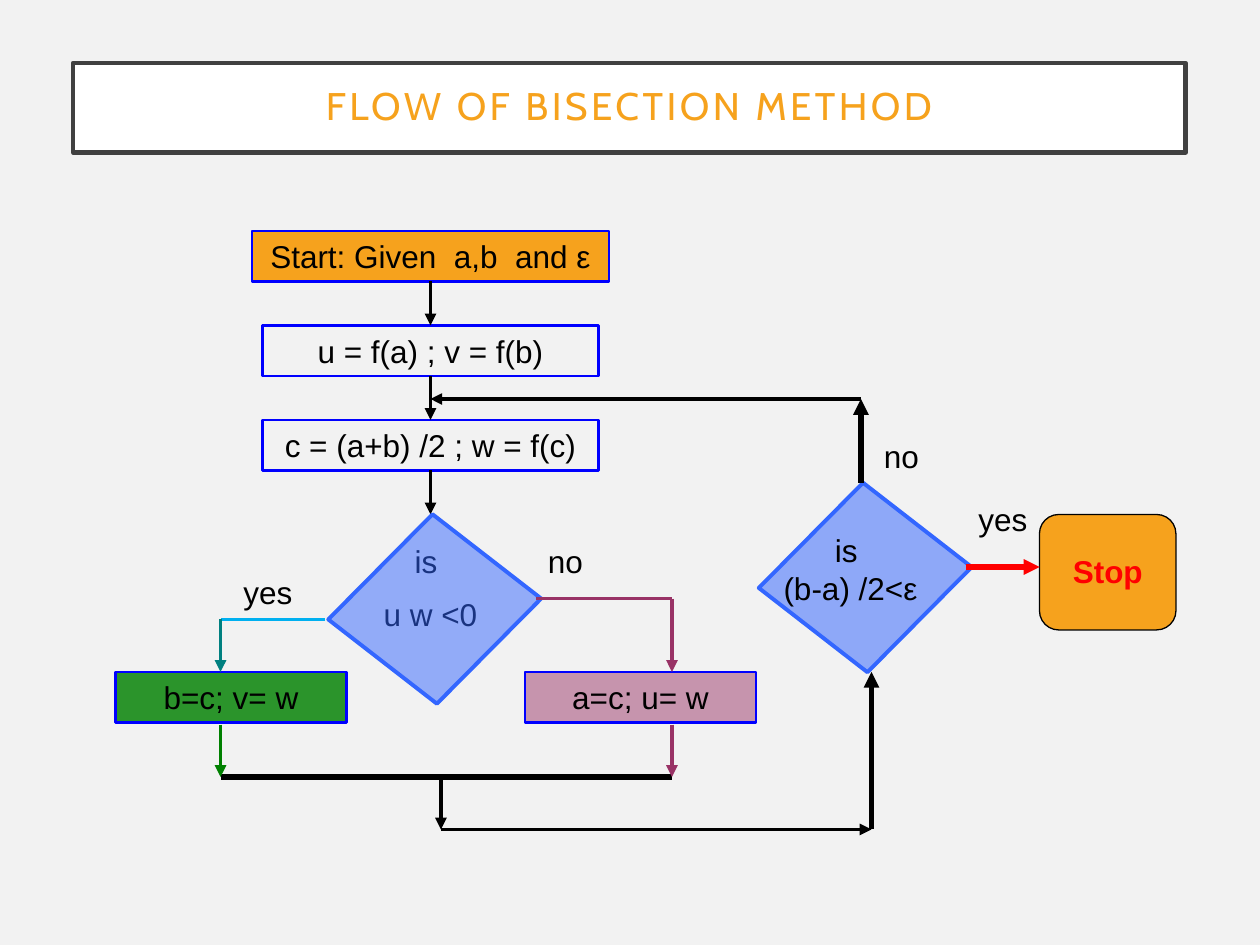
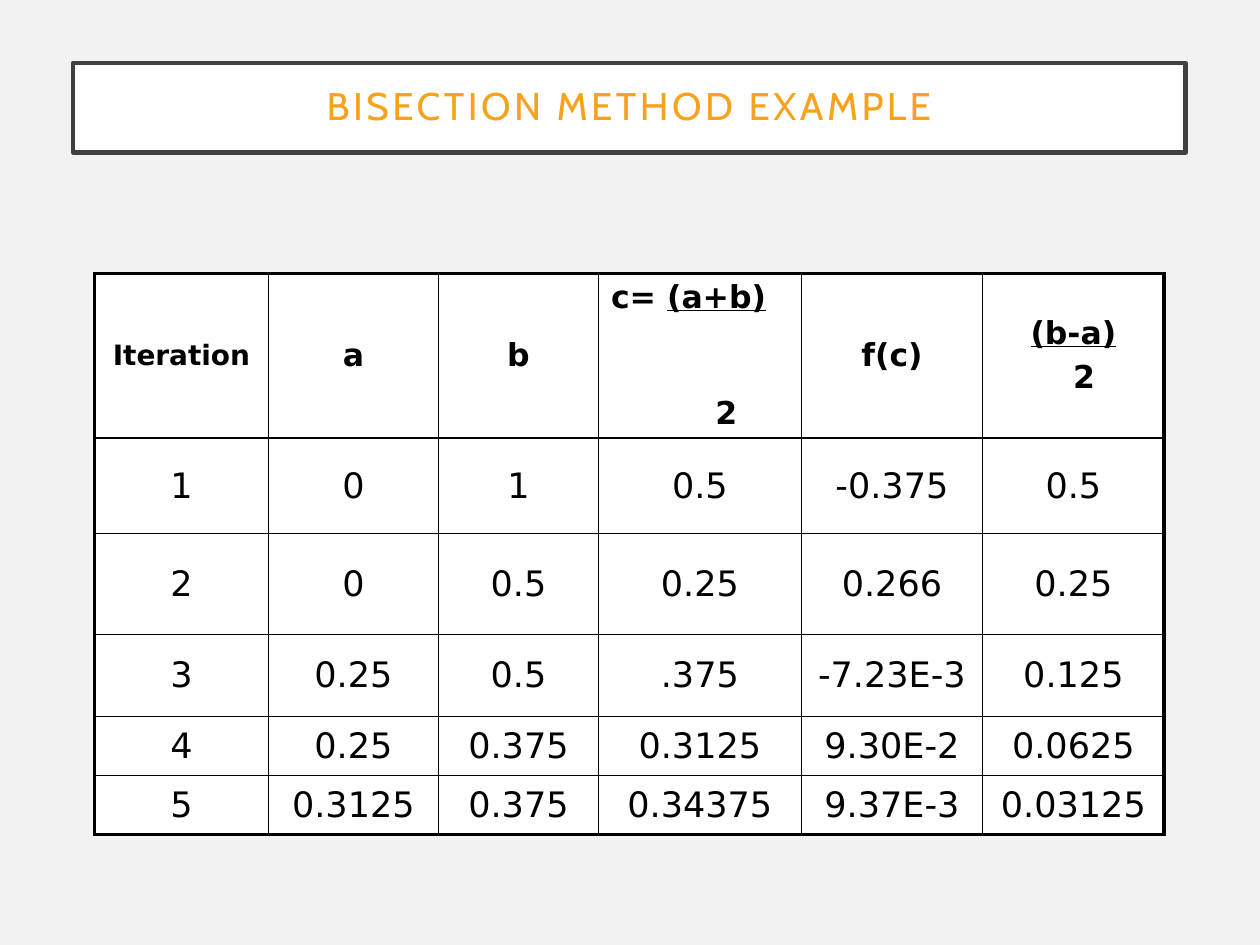
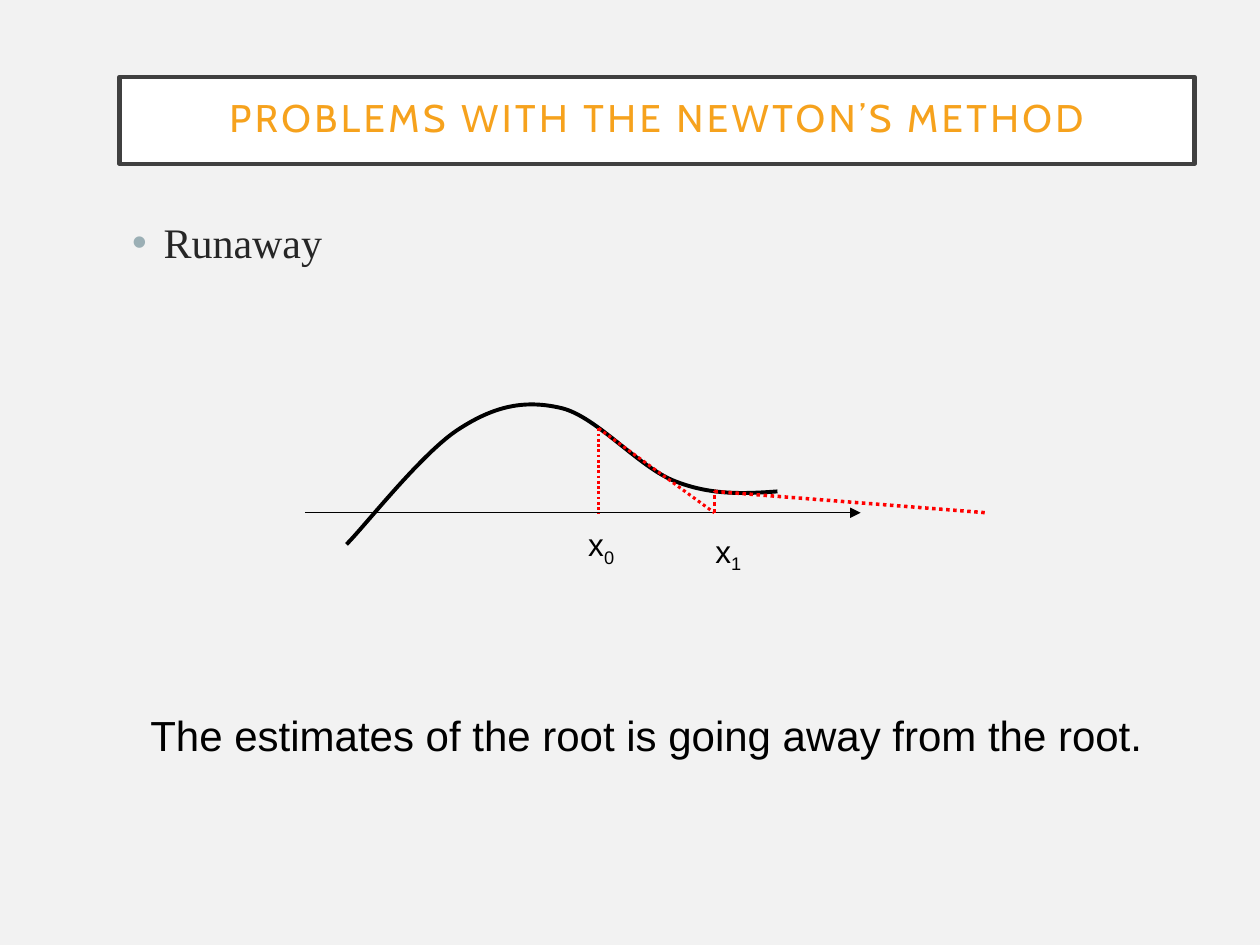
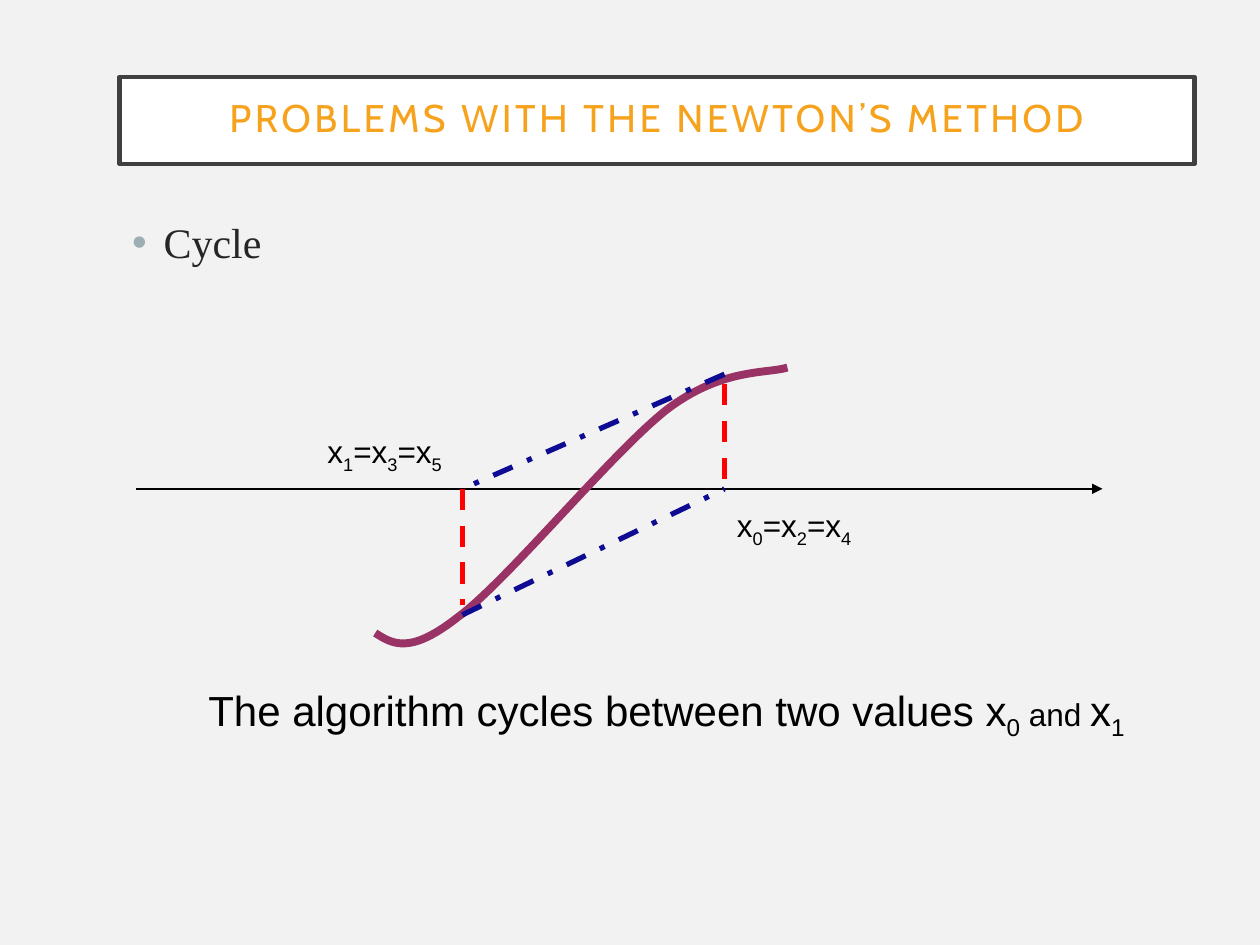
from dataclasses import dataclass

from pptx import Presentation
from pptx.dml.color import RGBColor
from pptx.enum.dml import MSO_LINE
from pptx.enum.shapes import MSO_CONNECTOR, MSO_SHAPE
from pptx.enum.text import MSO_ANCHOR, MSO_AUTO_SIZE, PP_ALIGN
from pptx.oxml.ns import qn
from pptx.util import Inches, Pt
from lxml.etree import SubElement


@dataclass(frozen=True)
class Theme:
    ground: str = "F2F2F2"
    white: str = "FFFFFF"
    black: str = "000000"
    frame: str = "404040"
    accent: str = "F6A21D"
    body: str = "262626"
    bullet: str = "9BAFB5"
    outline: str = "0000FF"
    decision: str = "3366FF"
    plum: str = "993366"
    green: str = "008000"
    teal: str = "008080"
    cyan: str = "00B0F0"
    red: str = "FF0000"
    navy: str = "0E0C93"
    title_font: str = "Cabin"
    body_font: str = "Times New Roman"
    label_font: str = "Arial"
    table_font: str = "DejaVu Sans"
    title_size: int = 22
    body_size: int = 24
    label_size: int = 18
    value_size: int = 20
    small_size: int = 16


THEME = Theme()
LINE_HEIGHT = 0.4   # inches, a box around one line of label text


@dataclass(frozen=True)
class Grid:
    """A region of the slide: its corner and the side of one cell, in inches."""
    left: float
    top: float
    step: float

    def point(self, column, row):
        return Inches(self.left + column * self.step), Inches(self.top + row * self.step)

    def box(self, column, row, columns, rows=None):
        height = LINE_HEIGHT if rows is None else rows * self.step
        return *self.point(column, row), Inches(columns * self.step), Inches(height)


def inches(*lengths):
    return tuple(Inches(length) for length in lengths)


def color(code):
    return RGBColor.from_string(code)


def style_font(para, name, size, code, bold=False):
    font = para.font
    font.name, font.size, font.bold = name, Pt(size), bold
    font.color.rgb = color(code)


def add_spans(para, text, size=None):
    """Add text in which each "_" makes the next character a subscript."""
    head, *rest = text.split("_")
    pieces = [(head, False)]
    for piece in rest:
        pieces += [(piece[0], True), (piece[1:], False)]
    for piece, lowered in pieces:
        if not piece:
            continue
        span = para.add_run()
        span.text = piece
        if size:
            span.font.size = Pt(size)
        if lowered:
            span._r.get_or_add_rPr().set("baseline", "-25000")


def write_label(shape, text, size=THEME.label_size, code=THEME.black, align=PP_ALIGN.CENTER,
                bold=False, gap=0, wrap=True):
    frame = shape.text_frame
    frame.word_wrap = wrap
    frame.auto_size = MSO_AUTO_SIZE.SHAPE_TO_FIT_TEXT
    frame.vertical_anchor = MSO_ANCHOR.TOP
    for index, line in enumerate(text.split("\n")):
        para = frame.add_paragraph() if index else frame.paragraphs[0]
        para.alignment = align
        if index:
            para.space_before = Pt(gap)
        style_font(para, THEME.label_font, size, code, bold)
        add_spans(para, line)
    return para


def add_label(page, box, text, **style):
    return write_label(page.shapes.add_textbox(*box), text, **style)


def add_block(page, kind, box, fill=None, line=THEME.outline, weight=1.5, opacity=100):
    block = page.shapes.add_shape(kind, *box)
    block.shadow.inherit = False
    if fill:
        block.fill.solid()
        block.fill.fore_color.rgb = color(fill)
        if opacity < 100:
            tone = block._element.spPr.find(".//" + qn("a:srgbClr"))
            SubElement(tone, qn("a:alpha"), val=str(opacity * 1000))
    else:
        block.fill.background()
    block.line.color.rgb = color(line)
    block.line.width = Pt(weight)
    return block


def add_line(page, start, end, code=THEME.black, weight=2.25, arrow=False, dash=None):
    link = page.shapes.add_connector(MSO_CONNECTOR.STRAIGHT, *start, *end)
    link.line.color.rgb = color(code)
    link.line.width = Pt(weight)
    if dash:
        link.line.dash_style = dash
    properties = link._element.spPr
    if arrow:
        SubElement(properties.find(qn("a:ln")), qn("a:tailEnd"), type="triangle")
    SubElement(properties, qn("a:effectLst"))
    return link


def add_curve(page, grid, points, code, weight, rotation=0):
    """Draw Bézier segments: a start, then two handles and an end for each."""
    start, *others = [grid.point(*point) for point in points]
    builder = page.shapes.build_freeform(*start)
    builder.add_line_segments(others, close=False)
    curve = builder.convert_to_shape()
    outline = curve._element.spPr.find(".//" + qn("a:path"))
    steps = outline.findall(qn("a:lnTo"))
    for first in range(0, len(steps), 3):
        segment = SubElement(outline, qn("a:cubicBezTo"))
        for step in steps[first:first + 3]:
            segment.append(step[0])
            outline.remove(step)
    curve.shadow.inherit = False
    curve.fill.background()
    curve.line.color.rgb = color(code)
    curve.line.width = Pt(weight)
    curve.rotation = rotation


def add_title(page, box, text):
    band = add_block(page, MSO_SHAPE.RECTANGLE, box, THEME.white, THEME.frame, 2.5)
    frame = band.text_frame
    frame.word_wrap = True
    frame.vertical_anchor = MSO_ANCHOR.MIDDLE
    frame.margin_left = frame.margin_right = frame.margin_top = frame.margin_bottom = Inches(0.2)
    para = frame.paragraphs[0]
    para.alignment = PP_ALIGN.CENTER
    para.line_spacing = 0.9
    style_font(para, THEME.title_font, THEME.title_size, THEME.accent)
    span = para.add_run()
    span.text = text
    span._r.get_or_add_rPr().set("spc", "200")


def add_bullet(page, box, text):
    frame = page.shapes.add_textbox(*box).text_frame
    frame.word_wrap = True
    para = frame.paragraphs[0]
    para.space_before = Pt(10)
    properties = para._p.get_or_add_pPr()
    properties.set("marL", str(Inches(0.25)))
    properties.set("indent", str(-Inches(0.25)))
    SubElement(SubElement(properties, qn("a:buClr")), qn("a:srgbClr"), val=THEME.bullet)
    SubElement(properties, qn("a:buFont"), typeface=THEME.label_font)
    SubElement(properties, qn("a:buChar"), char="•")
    style_font(para, THEME.body_font, THEME.body_size, THEME.body)
    add_spans(para, text)


def draw_flowchart(page, grid):
    def step(text, column, row, columns, fill=None, opacity=100):
        block = add_block(page, MSO_SHAPE.RECTANGLE, grid.box(column, row, columns), fill,
                          opacity=opacity)
        write_label(block, text)
        return block

    def decision(column, row, opacity):
        diamond = add_block(page, MSO_SHAPE.PARALLELOGRAM, grid.box(column, row, 14.8, 14),
                            THEME.decision, THEME.decision, 2.25, opacity)
        diamond.adjustments[0] = 0.122
        diamond.rotation = 37.8

    chain = [step("Start: Given  a,b  and ε", 13, 0, 34, THEME.accent),
             step("u = f(a) ; v = f(b)", 14, 9, 32),
             step("c = (a+b) /2 ; w = f(c)", 14, 18, 32)]
    decision(64, 26, 52)
    for index, block in enumerate(chain):
        link = add_line(page, grid.point(30, 9 * index + 5), grid.point(30, 9 * index + 9),
                        arrow=True)
        link.begin_connect(block, 2)
        if block is not chain[-1]:
            link.end_connect(chain[index + 1], 0)
    add_label(page, grid.box(24, 29, 12, 10.2), "is \nu w <0", gap=9)
    step("a=c; u= w", 39, 42, 22, THEME.plum, 49)
    step("b=c; v= w", 0, 42, 22, THEME.green, 82)

    routes = [
        ((40, 35), (53, 35), THEME.plum, 2.25, False),
        ((53, 35), (53, 42), THEME.plum, 2.25, True),
        ((20, 37), (10, 37), THEME.cyan, 2.25, False),
        ((10, 37), (10, 42), THEME.teal, 2.25, True),
        ((10, 52), (53, 52), THEME.black, 3, False),
        ((10, 47), (10, 52), THEME.green, 2.25, True),
        ((53, 47), (53, 52), THEME.plum, 2.25, True),
        ((31, 52), (31, 57), THEME.black, 2.25, True),
        ((31, 57), (72, 57), THEME.black, 2.25, True),
        ((72, 57), (72, 42), THEME.black, 3, True),
        ((71, 16), (30, 16), THEME.black, 2.25, True),
        ((71, 24), (71, 16), THEME.black, 3, True),
        ((81, 32), (88, 32), THEME.red, 3, True),
    ]
    decision(23, 29, 50)
    add_label(page, grid.box(62, 28, 16, 8.4), "is \n(b-a) /2<ε")
    add_block(page, MSO_SHAPE.ROUNDED_RECTANGLE, grid.box(88, 27, 13, 11), THEME.accent,
              THEME.black, 0.75)
    add_label(page, grid.box(90, 30, 11), "Stop", code=THEME.red, bold=True,
              align=PP_ALIGN.LEFT)
    for start, end, code, weight, arrow in routes:
        add_line(page, grid.point(*start), grid.point(*end), code, weight, arrow)
    for answer, column, row in [("yes", 11, 32), ("yes", 81, 25), ("no", 40, 29), ("no", 72, 19)]:
        add_label(page, grid.box(column, row, 13), answer, align=PP_ALIGN.LEFT)


def set_borders(cell, weights):
    properties = cell._tc.get_or_add_tcPr()
    for index, (side, weight) in enumerate(zip("LRTB", weights)):
        edge = SubElement(properties, qn("a:ln" + side), w=str(Pt(weight)))
        fill = SubElement(edge, qn("a:solidFill"))
        SubElement(fill, qn("a:srgbClr"), val=THEME.black)
        properties.insert(index, edge)


def add_cell_line(cell, text, size, bold, first=True, underline=None, indent=0, gap=4):
    frame = cell.text_frame
    para = frame.paragraphs[0] if first else frame.add_paragraph()
    para.alignment = PP_ALIGN.CENTER
    para.space_before = Pt(gap)
    if indent:
        para._p.get_or_add_pPr().set("marL", str(Inches(indent)))
    style_font(para, THEME.table_font, size, THEME.black, bold)
    add_spans(para, text)
    if underline:
        span = para.add_run()
        span.text = underline
        span.font.underline = True
    return para


def draw_iterations(page, box):
    widths = [1.38, 1.35, 1.27, 1.61, 1.44, 1.44]
    heights = [0.92, 0.76, 0.8, 0.65, 0.47, 0.47]
    values = [
        ["1", "0", "1", "0.5", "-0.375", "0.5"],
        ["2", "0", "0.5", "0.25", "0.266", "0.25"],
        ["3", "0.25", "0.5", ".375", "-7.23E-3", "0.125"],
        ["4", "0.25", "0.375", "0.3125", "9.30E-2", "0.0625"],
        ["5", "0.3125", "0.375", "0.34375", "9.37E-3", "0.03125"],
    ]
    table = page.shapes.add_table(len(heights), len(widths), *box).table
    table.first_row = table.horz_banding = False
    for column, width in zip(table.columns, widths):
        column.width = Inches(width)
    for row, height in zip(table.rows, heights):
        row.height = Inches(height)

    last_row, last_column = len(heights) - 1, len(widths) - 1
    for r in range(len(heights)):
        for c in range(len(widths)):
            cell = table.cell(r, c)
            cell.fill.solid()
            cell.fill.fore_color.rgb = color(THEME.white)
            cell.vertical_anchor = MSO_ANCHOR.MIDDLE
            outer = (c == 0, c == last_column, r == 0, r == last_row)
            set_borders(cell, [2.25 if edge else 1 for edge in outer])
            if r:
                add_cell_line(cell, values[r - 1][c], THEME.value_size, False)

    size = THEME.label_size
    for c, text in [(1, "a"), (2, "b"), (4, "f(c)")]:
        add_cell_line(table.cell(0, c), text, size, True)
    add_cell_line(table.cell(0, 0), "Iteration", THEME.small_size, True)
    midpoint, error = table.cell(0, 3), table.cell(0, 5)
    add_cell_line(midpoint, "c= ", size, True, underline="(a+b)").alignment = PP_ALIGN.LEFT
    add_cell_line(midpoint, "2", size, True, first=False, indent=0.42, gap=45)
    add_cell_line(error, "", size, True, underline="(b-a)")
    add_cell_line(error, "2", size, True, first=False, indent=0.17)


def draw_runaway(page, grid):
    add_curve(page, grid, [
        (37.5, 7.3), (34.8, 7.5), (32.2, 7.6), (29.4, 6.5), (26.5, 5.4), (23.2, 1.4), (20.4, 0.7),
        (17.5, 0), (15.1, 0.5), (12.3, 2.3), (9.4, 4.1), (4.8, 10), (3.3, 11.5),
    ], THEME.black, 2.25)
    axis = 9
    add_line(page, grid.point(0, axis), grid.point(44.1, axis), weight=0.75, arrow=True)
    estimates = [(23.3, 2.3), (23.3, axis), (32.5, axis), (32.5, 7.3), (54.1, axis)]
    first, first_root, second_root, second, third_root = estimates
    for start, end, weight in [(first, first_root, 1.5), (first, second_root, 1.75),
                               (second_root, second, 2), (second, third_root, 2)]:
        add_line(page, grid.point(*start), grid.point(*end), THEME.red, weight,
                 dash=MSO_LINE.ROUND_DOT)
    for text, column, row in [("x_0", 21.5, 9.5), ("x_1", 31.6, 10)]:
        add_label(page, grid.box(column, row, 4.2), text, align=PP_ALIGN.LEFT, wrap=False)


def draw_cycle(page, grid):
    axis, low, high = 10, 25.9, 46.7
    add_line(page, grid.point(0, axis), grid.point(76.7, axis), weight=0.75, arrow=True)
    add_curve(page, grid, [
        (17.5, 18.4), (18.7, 19.5), (19.9, 20.6), (24.2, 18.3), (28.5, 16.2), (38.5, 7.6),
        (43.4, 5), (48.3, 2.5), (51.7, 3.6), (53.4, 3.4),
    ], THEME.plum, 4.5, rotation=349.9)
    for start, end, code, dash in [
        ((high, 1.7), (high, axis), THEME.red, MSO_LINE.DASH),
        ((high, 0.9), (low, axis), THEME.navy, MSO_LINE.DASH_DOT),
        ((low, axis), (low, 19.2), THEME.red, MSO_LINE.DASH),
        ((low, 20), (high, axis), THEME.navy, MSO_LINE.DASH_DOT),
    ]:
        add_line(page, grid.point(*start), grid.point(*end), code, 3, dash=dash)
    for text, column, row in [("x_0=x_2=x_4", high, 10.9), ("x_1=x_3=x_5", 14.2, 5)]:
        add_label(page, grid.box(column, row, 13.3), text, align=PP_ALIGN.LEFT)


def add_page(deck, title, box):
    page = deck.slides.add_slide(deck.slide_layouts[6])
    add_title(page, box, title)
    return page


def add_problem_page(deck, name, caption, caption_box):
    """Add a slide on one problem; return it with the caption's paragraph."""
    page = add_page(deck, "PROBLEMS WITH THE NEWTON’S METHOD", inches(0.95, 0.61, 8.53, 0.69))
    add_bullet(page, inches(0.95, 1.67, 8.53, 5.67), name)
    return page, add_label(page, caption_box, caption, size=THEME.body_size)


def main():
    deck = Presentation()
    deck.slide_width, deck.slide_height = inches(10, 7.5)
    ground = deck.slide_master.background.fill
    ground.solid()
    ground.fore_color.rgb = color(THEME.ground)

    wide_title = inches(0.58, 0.5, 8.83, 0.71)
    page = add_page(deck, "FLOW OF BISECTION METHOD", wide_title)
    draw_flowchart(page, Grid(11 / 12, 22 / 12, 1 / 12))

    page = add_page(deck, "BISECTION METHOD EXAMPLE", wide_title)
    draw_iterations(page, inches(0.75, 2.17, 8.5, 4.06))

    page, _ = add_problem_page(deck, "Runaway",
                               "The estimates of the root is going away from the root.",
                               inches(0.92, 5.58, 8.42, 0.5))
    draw_runaway(page, Grid(2.42, 3.17, 0.1))

    page, caption = add_problem_page(deck, "Cycle",
                                     "The algorithm cycles between two values x_0",
                                     inches(1.08, 5.38, 8.42, 0.5))
    add_spans(caption, " and ", THEME.label_size)
    add_spans(caption, "x_1")
    draw_cycle(page, Grid(1.08, 2.88, 0.1))

    deck.save("out.pptx")


if __name__ == "__main__":
    main()
